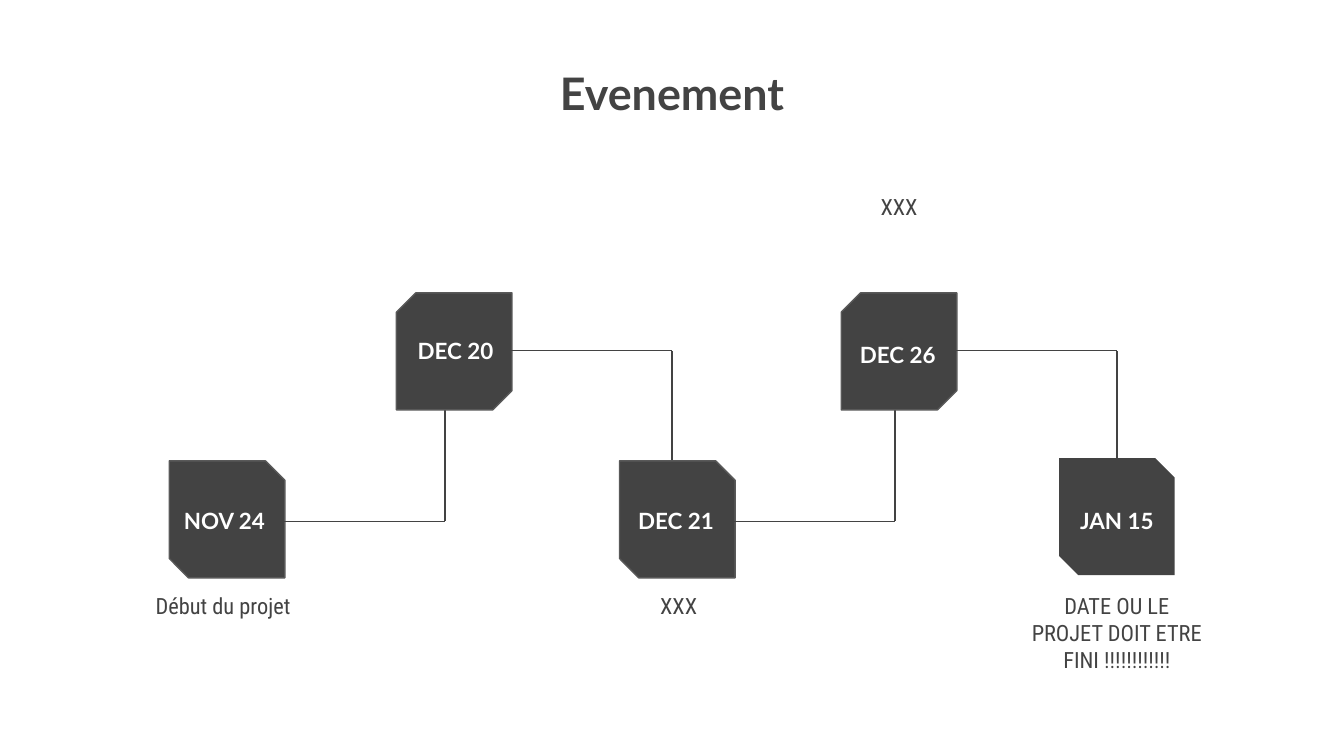
"""Build a timeline slide of five project milestones."""
from dataclasses import dataclass

from lxml.etree import SubElement
from pptx import Presentation
from pptx.dml.color import RGBColor
from pptx.enum.shapes import MSO_CONNECTOR, MSO_SHAPE
from pptx.enum.text import MSO_ANCHOR, PP_ALIGN
from pptx.oxml.ns import qn
from pptx.slide import Slide
from pptx.text.text import TextFrame
from pptx.util import Inches, Pt


@dataclass(frozen=True)
class TextStyle:
    """Font settings of one kind of text."""
    name: str
    size: float
    color: RGBColor
    bold: bool


@dataclass(frozen=True)
class Theme:
    """Colours, type and line settings of the slide."""
    dark: RGBColor = RGBColor(0x43, 0x43, 0x43)
    outline: RGBColor = RGBColor(0x59, 0x59, 0x59)
    title: TextStyle = TextStyle("Lato", 24, dark, True)
    date: TextStyle = TextStyle("Lato", 12, RGBColor(0xFF, 0xFF, 0xFF), True)
    caption: TextStyle = TextStyle("Roboto Condensed", 12, dark, False)
    line_width: float = 0.75


@dataclass(frozen=True)
class Milestone:
    """A dated badge with an optional caption, in the upper or lower row."""
    date: str
    left: float
    top: float
    date_left: float
    date_top: float
    upper: bool = False
    caption: str = ""
    caption_left: float = 0
    date_anchor: MSO_ANCHOR = MSO_ANCHOR.TOP
    last: bool = False


THEME = Theme()
BADGE_WIDTH, BADGE_HEIGHT = 0.86, 0.87
LOWER_TOP, UPPER_TOP = 3.43, 2.18
SNIP = 0.167
MILESTONES = (
    Milestone("NOV 24", 1.26, LOWER_TOP, 1.24, 3.67,
              caption="Début du projet ", caption_left=0.91),
    Milestone("DEC 20", 2.95, UPPER_TOP, 2.96, 2.41, upper=True),
    Milestone("DEC 21", 4.61, LOWER_TOP, 4.6, 3.67, caption="XXX", caption_left=4.28),
    Milestone("DEC 26", 6.26, UPPER_TOP, 6.25, 2.42, upper=True,
              caption="XXX", caption_left=5.92, date_anchor=MSO_ANCHOR.MIDDLE),
    Milestone("JAN 15", 7.88, 3.41, 7.88, 3.67,
              caption="DATE OU LE PROJET DOIT ETRE FINI !!!!!!!!!!!!", caption_left=7.54, last=True),
)


def write_text(frame: TextFrame, text: str, style: TextStyle,
               anchor: MSO_ANCHOR = MSO_ANCHOR.TOP) -> None:
    """Fill a text frame with one centred, styled paragraph."""
    frame_format = {"word_wrap": True, "vertical_anchor": anchor}
    frame_format |= {f"margin_{side}": Inches(0.1) for side in ("left", "top", "right", "bottom")}
    for attribute, value in frame_format.items():
        setattr(frame, attribute, value)
    frame.text = text
    paragraph = frame.paragraphs[0]
    paragraph.alignment = PP_ALIGN.CENTER
    font = paragraph.runs[0].font
    for attribute, value in {"name": style.name, "size": Pt(style.size), "bold": style.bold}.items():
        setattr(font, attribute, value)
    font.color.rgb = style.color


def add_label(slide: Slide, text: str, bounds: tuple[float, float, float, float],
              style: TextStyle, anchor: MSO_ANCHOR = MSO_ANCHOR.TOP) -> None:
    """Add a text box with one styled paragraph."""
    box = slide.shapes.add_textbox(*(Inches(length) for length in bounds))
    write_text(box.text_frame, text, style, anchor)


def add_line(slide: Slide, start: tuple[float, float], end: tuple[float, float]) -> None:
    """Add a plain straight connector."""
    line = slide.shapes.add_connector(
        MSO_CONNECTOR.STRAIGHT, *(Inches(length) for length in start + end))
    line.line.color.rgb = THEME.dark
    line.line.width = Pt(THEME.line_width)
    SubElement(line._element.spPr, qn("a:effectLst"))


def add_badge(slide: Slide, milestone: Milestone) -> None:
    """Add a milestone's snipped square and the bend towards the next one."""
    badge = slide.shapes.add_shape(
        MSO_SHAPE.SNIP_2_DIAG_RECTANGLE, Inches(milestone.left), Inches(milestone.top),
        Inches(BADGE_WIDTH), Inches(BADGE_HEIGHT))
    badge.shadow.inherit = False
    badge.adjustments[0] = SNIP if milestone.upper else 0
    badge.adjustments[1] = 0 if milestone.upper else SNIP
    badge.fill.solid()
    badge.fill.fore_color.rgb = THEME.dark
    if milestone.last:
        badge.line.fill.background()
        return
    badge.line.color.rgb = THEME.outline
    badge.line.width = Pt(THEME.line_width)
    level = milestone.top + (0.43 if milestone.upper else 0.45)
    bend = milestone.left + 2.05
    add_line(slide, (milestone.left + 0.41, level), (bend, level))
    add_line(slide, (bend, level), (bend, level + (1 if milestone.upper else -1)))


def add_texts(slide: Slide, milestone: Milestone) -> None:
    """Add a milestone's date and caption."""
    add_label(slide, milestone.date, (milestone.date_left, milestone.date_top, BADGE_WIDTH, 0.43),
              THEME.date, milestone.date_anchor)
    if milestone.caption:
        caption_top = 1.34 if milestone.upper else 4.31
        add_label(slide, milestone.caption, (milestone.caption_left, caption_top, 1.54, 0.66),
                  THEME.caption)


def main() -> None:
    """Build and save the slide."""
    presentation = Presentation()
    presentation.slide_width = Inches(10)
    presentation.slide_height = presentation.slide_width * 9 // 16
    slide = presentation.slides.add_slide(presentation.slide_layouts[5])
    title = slide.shapes.title
    bounds = {"left": 2.15, "top": 0.39, "width": 5.7, "height": 1.03}
    for attribute, length in bounds.items():
        setattr(title, attribute, Inches(length))
    write_text(title.text_frame, "Evenement", THEME.title)
    for milestone in MILESTONES:
        add_badge(slide, milestone)
    for milestone in MILESTONES:
        add_texts(slide, milestone)
    presentation.save("out.pptx")


if __name__ == "__main__":
    main()
